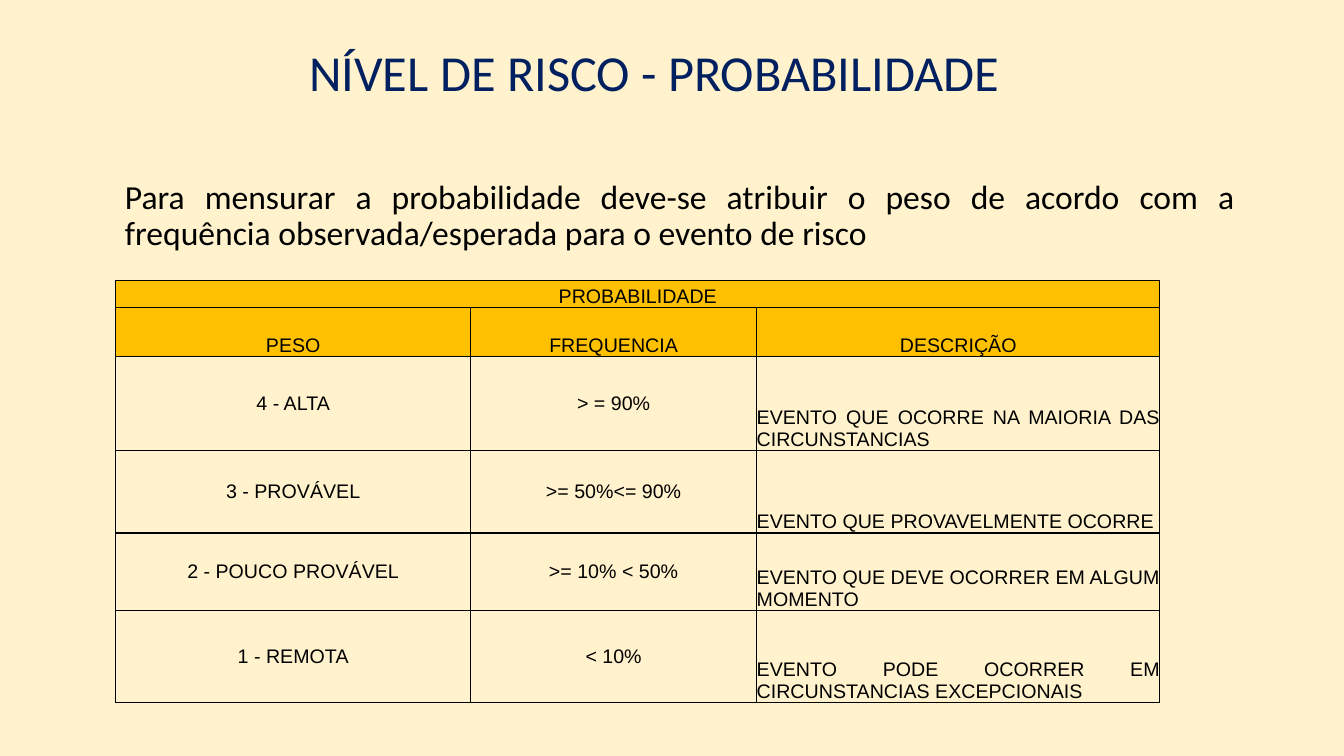
from dataclasses import dataclass

from lxml import etree
from pptx import Presentation
from pptx.dml.color import RGBColor
from pptx.enum.text import MSO_ANCHOR, PP_ALIGN
from pptx.oxml.ns import qn
from pptx.slide import Slide
from pptx.table import Table, _Cell
from pptx.text.text import TextFrame
from pptx.util import Cm, Pt

CENTER = PP_ALIGN.CENTER
JUSTIFY = PP_ALIGN.JUSTIFY
MIDDLE = MSO_ANCHOR.MIDDLE
BOTTOM = MSO_ANCHOR.BOTTOM

CREAM = RGBColor(0xFF, 0xF2, 0xCC)
NAVY = RGBColor(0x00, 0x20, 0x60)
AMBER = RGBColor(0xFF, 0xC0, 0x00)
BLACK = RGBColor(0x00, 0x00, 0x00)

BORDER_WIDTH = Pt(1)
COLUMN_WIDTHS = (8.94, 7.21, 10.16)
TITLE_HEIGHT = 0.69
HEADING_HEIGHT = 1.24
HEADINGS = ("PESO", "FREQUENCIA", "DESCRIÇÃO")


@dataclass(frozen=True)
class TextBlock:
    text: str
    left: float
    top: float
    width: float
    height: float
    size: int
    color: RGBColor
    alignment: PP_ALIGN
    line_spacing: float = 1.0
    margin_left: float = 0.25
    margin_top: float = 0.13


@dataclass(frozen=True)
class RiskLevel:
    weight: str
    frequency: str
    description: str
    height: float


TEXT_BLOCKS = (
    TextBlock("NÍVEL DE RISCO - PROBABILIDADE", 6.27, 0.91, 20.45, 1.8, 36, NAVY, CENTER),
    TextBlock(
        "Para mensurar a probabilidade deve-se atribuir o peso de acordo com a "
        "frequência observada/esperada para o evento de risco",
        2.16, 3.2, 29.21, 14.17, 24, BLACK, JUSTIFY,
        line_spacing=0.9, margin_left=0.99, margin_top=1.35,
    ),
)

RISK_LEVELS = (
    RiskLevel("4 - ALTA", "> = 90%",
              "EVENTO QUE OCORRE NA MAIORIA DAS CIRCUNSTANCIAS", 2.36),
    RiskLevel("3 - PROVÁVEL", ">= 50%<= 90%",
              "EVENTO QUE PROVAVELMENTE OCORRE", 2.08),
    RiskLevel("2 - POUCO PROVÁVEL", ">= 10% < 50%",
              "EVENTO QUE DEVE OCORRER EM ALGUM MOMENTO", 1.96),
    RiskLevel("1 - REMOTA", "< 10%",
              "EVENTO PODE OCORRER EM CIRCUNSTANCIAS EXCEPCIONAIS", 2.31),
)


def write_text(text_frame: TextFrame, text: str, font_name: str, size: int,
               color: RGBColor, alignment: PP_ALIGN) -> None:
    text_frame.text = text
    paragraph = text_frame.paragraphs[0]
    paragraph.alignment = alignment
    font = paragraph.runs[0].font
    font.name = font_name
    font.size = Pt(size)
    font.color.rgb = color


def add_text_block(slide: Slide, block: TextBlock) -> None:
    shape = slide.shapes.add_textbox(
        Cm(block.left), Cm(block.top), Cm(block.width), Cm(block.height))
    text_frame = shape.text_frame
    text_frame.word_wrap = True
    text_frame.margin_left = Cm(block.margin_left)
    text_frame.margin_top = Cm(block.margin_top)
    write_text(text_frame, block.text, "Calibri", block.size, block.color, block.alignment)
    text_frame.paragraphs[0].line_spacing = block.line_spacing


def add_borders(cell: _Cell) -> None:
    properties = cell._tc.get_or_add_tcPr()
    for position, side in enumerate(("a:lnL", "a:lnR", "a:lnT", "a:lnB")):
        line = etree.Element(qn(side), w=str(BORDER_WIDTH))
        fill = etree.SubElement(line, qn("a:solidFill"))
        etree.SubElement(fill, qn("a:srgbClr"), val=str(BLACK))
        properties.insert(position, line)


def format_cell(cell: _Cell, is_heading: bool) -> None:
    cell.margin_left = cell.margin_right = cell.margin_top = cell.margin_bottom = 0
    if is_heading:
        cell.fill.solid()
        cell.fill.fore_color.rgb = AMBER
    else:
        cell.fill.background()
    add_borders(cell)


def fill_row(table: Table, row: int, texts: tuple[str, ...], is_heading: bool) -> None:
    for column, text in enumerate(texts):
        cell = table.cell(row, column)
        is_description = not is_heading and column == len(HEADINGS) - 1
        cell.vertical_anchor = BOTTOM if is_heading or is_description else MIDDLE
        write_text(cell.text_frame, text, "Arial", 14, BLACK,
                   JUSTIFY if is_description else CENTER)


def add_probability_table(slide: Slide) -> None:
    heights = (TITLE_HEIGHT, HEADING_HEIGHT, *(level.height for level in RISK_LEVELS))
    table = slide.shapes.add_table(
        len(heights), len(COLUMN_WIDTHS), Cm(2.92), Cm(7.06),
        Cm(sum(COLUMN_WIDTHS)), Cm(sum(heights))).table
    table.first_row = False
    table.horz_banding = False
    for column, width in zip(table.columns, COLUMN_WIDTHS):
        column.width = Cm(width)
    for index, (row, height) in enumerate(zip(table.rows, heights)):
        row.height = Cm(height)
        for cell in row.cells:
            format_cell(cell, is_heading=index < 2)
    table.cell(0, 0).merge(table.cell(0, len(COLUMN_WIDTHS) - 1))
    fill_row(table, 0, ("PROBABILIDADE",), is_heading=True)
    fill_row(table, 1, HEADINGS, is_heading=True)
    for index, level in enumerate(RISK_LEVELS, start=2):
        fill_row(table, index, (level.weight, level.frequency, level.description),
                 is_heading=False)


def main() -> None:
    presentation = Presentation()
    presentation.slide_width = Cm(33.87)
    presentation.slide_height = Cm(19.05)
    slide = presentation.slides.add_slide(presentation.slide_layouts[6])
    slide.background.fill.solid()
    slide.background.fill.fore_color.rgb = CREAM
    for block in TEXT_BLOCKS:
        add_text_block(slide, block)
    add_probability_table(slide)
    presentation.save("out.pptx")


if __name__ == "__main__":
    main()
